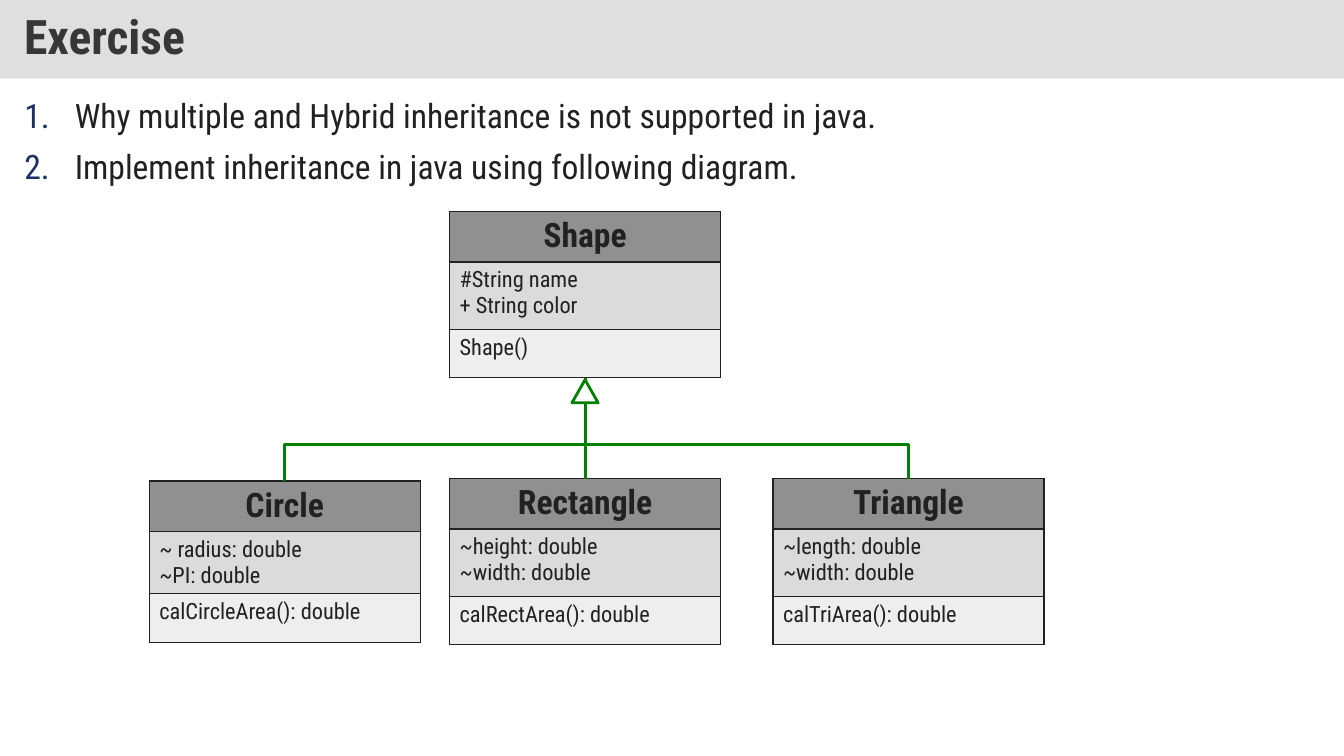
from lxml import etree
from pptx import Presentation
from pptx.dml.color import RGBColor
from pptx.enum.shapes import MSO_CONNECTOR, MSO_SHAPE
from pptx.enum.text import MSO_ANCHOR, MSO_AUTO_SIZE, PP_ALIGN
from pptx.oxml.ns import qn
from pptx.util import Cm, Pt

LEFT, CENTER, JUSTIFY = PP_ALIGN.LEFT, PP_ALIGN.CENTER, PP_ALIGN.JUSTIFY
MIDDLE, TOP = MSO_ANCHOR.MIDDLE, MSO_ANCHOR.TOP
NO_FIT = MSO_AUTO_SIZE.NONE
STRAIGHT, TRIANGLE = MSO_CONNECTOR.STRAIGHT, MSO_SHAPE.ISOSCELES_TRIANGLE

FONT = "Roboto Condensed"
COLORS = {
    "band": "C0C0C0", "title": "373737", "text": "212121", "number": "1D3064",
    "name": "909090", "fields": "DBDBDB", "methods": "EEEEEE",
    "arrow": "008000", "white": "FFFFFF",
}
CLASS_W, NAME_H, METHODS_H = 6.83, 1.27, 1.22


def rgb(name):
    return RGBColor.from_string(COLORS[name])


def add_run(p, text, size, color="text", bold=False):
    r = p.add_run()
    r.text = text
    r.font.name, r.font.size, r.font.bold = FONT, Pt(size), bold
    r.font.color.rgb = rgb(color)


def place(sp, x, y, w, h):
    sp.left, sp.top, sp.width, sp.height = Cm(x), Cm(y), Cm(w), Cm(h)


def add_title(s, text, x, y, w, h):
    sp = s.shapes.title
    place(sp, x, y, w, h)
    sp.fill.solid()
    sp.fill.fore_color.rgb = rgb("band")
    color = sp.fill._xPr.find(".//" + qn("a:srgbClr"))
    etree.SubElement(color, qn("a:alpha"), val="50000")
    tf = sp.text_frame
    tf.auto_size, tf.vertical_anchor = NO_FIT, MIDDLE
    tf.margin_left = tf.margin_right = Cm(0.61)
    tf.margin_top = tf.margin_bottom = Cm(0.3)
    p = tf.paragraphs[0]
    p.alignment, p.line_spacing = LEFT, 0.9
    add_run(p, text, 34, "title", True)


def add_numbered_list(s, items, x, y, w, h):
    sp = s.placeholders[1]
    place(sp, x, y, w, h)
    tf = sp.text_frame
    tf.auto_size, tf.vertical_anchor = NO_FIT, TOP
    for i, item in enumerate(items):
        p = tf.add_paragraph() if i else tf.paragraphs[0]
        p.alignment, p.line_spacing = JUSTIFY, 0.9
        p.space_before, p.space_after = Pt(10 if i else 0), Pt(0)
        pPr = p._p.get_or_add_pPr()
        pPr.set("marL", str(Cm(1.27)))
        pPr.set("indent", str(-Cm(1.27)))
        clr = etree.SubElement(pPr, qn("a:buClr"))
        etree.SubElement(clr, qn("a:srgbClr"), val=COLORS["number"])
        etree.SubElement(pPr, qn("a:buFont"), typeface="+mj-lt")
        etree.SubElement(pPr, qn("a:buAutoNum"), type="arabicPeriod")
        add_run(p, item, 24)


def set_borders(cell):
    tcPr = cell._tc.get_or_add_tcPr()
    for i, side in enumerate(("lnL", "lnR", "lnT", "lnB")):
        ln = etree.Element(qn("a:" + side), w=str(Pt(1)))
        fill = etree.SubElement(ln, qn("a:solidFill"))
        etree.SubElement(fill, qn("a:srgbClr"), val=COLORS["text"])
        tcPr.insert(i, ln)


def add_class(s, name, fields, methods, x, y, fields_h=1.7):
    heights = (NAME_H, fields_h, METHODS_H)
    frame = s.shapes.add_table(3, 1, Cm(x), Cm(y), Cm(CLASS_W), Cm(sum(heights)))
    table = frame.table
    sections = (("name", [name]), ("fields", fields), ("methods", methods))
    for row, (part, lines), height in zip(table.rows, sections, heights):
        row.height = Cm(height)
        cell = row.cells[0]
        cell.fill.solid()
        cell.fill.fore_color.rgb = rgb(part)
        set_borders(cell)
        heading = part == "name"
        tf = cell.text_frame
        for i, line in enumerate(lines):
            p = tf.add_paragraph() if i else tf.paragraphs[0]
            p.alignment = CENTER if heading else LEFT
            add_run(p, line, 24 if heading else 16, bold=heading)


def style_line(sp):
    sp.line.color.rgb = rgb("arrow")
    sp.line.width = Pt(2)


def add_inheritance(s, x, top, bar, left, right, bottom):
    """Join the child ends (x, y) left and right, and the middle child, to the parent."""
    trunk = s.shapes.add_connector(STRAIGHT, Cm(x), Cm(bottom), Cm(x), Cm(top))
    style_line(trunk)
    etree.SubElement(trunk._element.spPr, qn("a:effectLst"))

    # Hollow arrowhead
    w, h = 0.66, 0.58
    head = s.shapes.add_shape(TRIANGLE, Cm(x - w / 2), Cm(top + 0.05), Cm(w), Cm(h))
    head.shadow.inherit = False
    head.fill.solid()
    head.fill.fore_color.rgb = rgb("white")
    style_line(head)

    # Branches to the outer children
    points = [(left[0], bar), (right[0], bar), right]
    fb = s.shapes.build_freeform(Cm(left[0]), Cm(left[1]))
    fb.add_line_segments([(Cm(px), Cm(py)) for px, py in points], close=False)
    branches = fb.convert_to_shape()
    branches.shadow.inherit = False
    branches.fill.background()
    style_line(branches)


def main():
    prs = Presentation()
    prs.slide_width, prs.slide_height = Cm(33.87), Cm(19.05)
    s = prs.slides.add_slide(prs.slide_layouts[1])

    add_title(s, "Exercise", 0, 0, 33.87, 1.98)
    add_numbered_list(s, [
        "Why multiple and Hybrid inheritance is not supported in java.",
        "Implement inheritance in java using following diagram.",
    ], 0.36, 2.39, 33.15, 15.52)

    # Class diagram
    circle_x, middle_x, triangle_x = 3.76, 11.33, 19.48
    parent_y, child_y, circle_y = 5.33, 12.06, 12.12
    add_class(s, "Shape", ["#String name", "+ String color"], ["Shape()"],
              middle_x, parent_y)
    add_class(s, "Circle", ["~ radius: double", "~PI: double"],
              ["calCircleArea(): double"], circle_x, circle_y, 1.57)
    add_class(s, "Rectangle", ["~height: double", "~width: double"],
              ["calRectArea(): double"], middle_x, child_y)
    add_class(s, "Triangle", ["~length: double", "~width: double"],
              ["calTriArea(): double"], triangle_x, child_y)
    half = CLASS_W / 2
    add_inheritance(s, middle_x + half, 9.52, 11.2, (circle_x + half, circle_y),
                    (triangle_x + half, child_y), child_y)

    prs.save("out.pptx")


if __name__ == "__main__":
    main()
